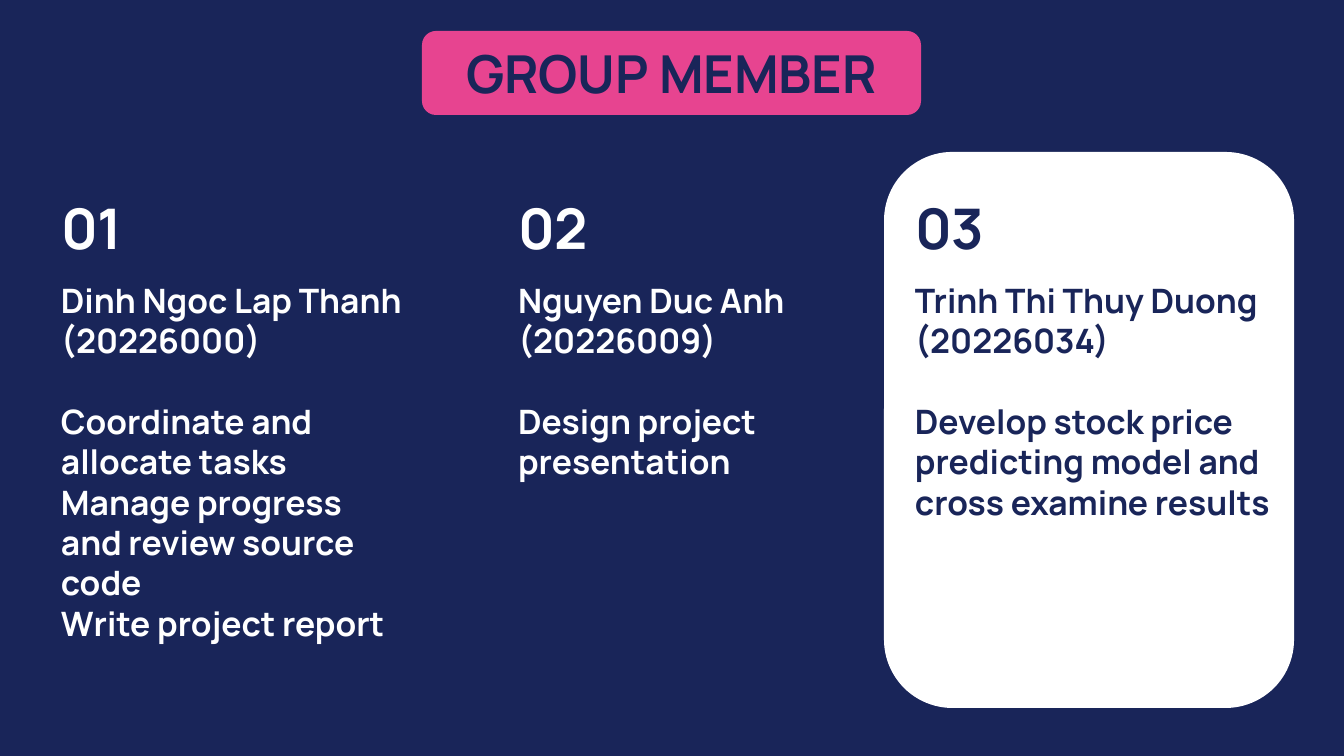
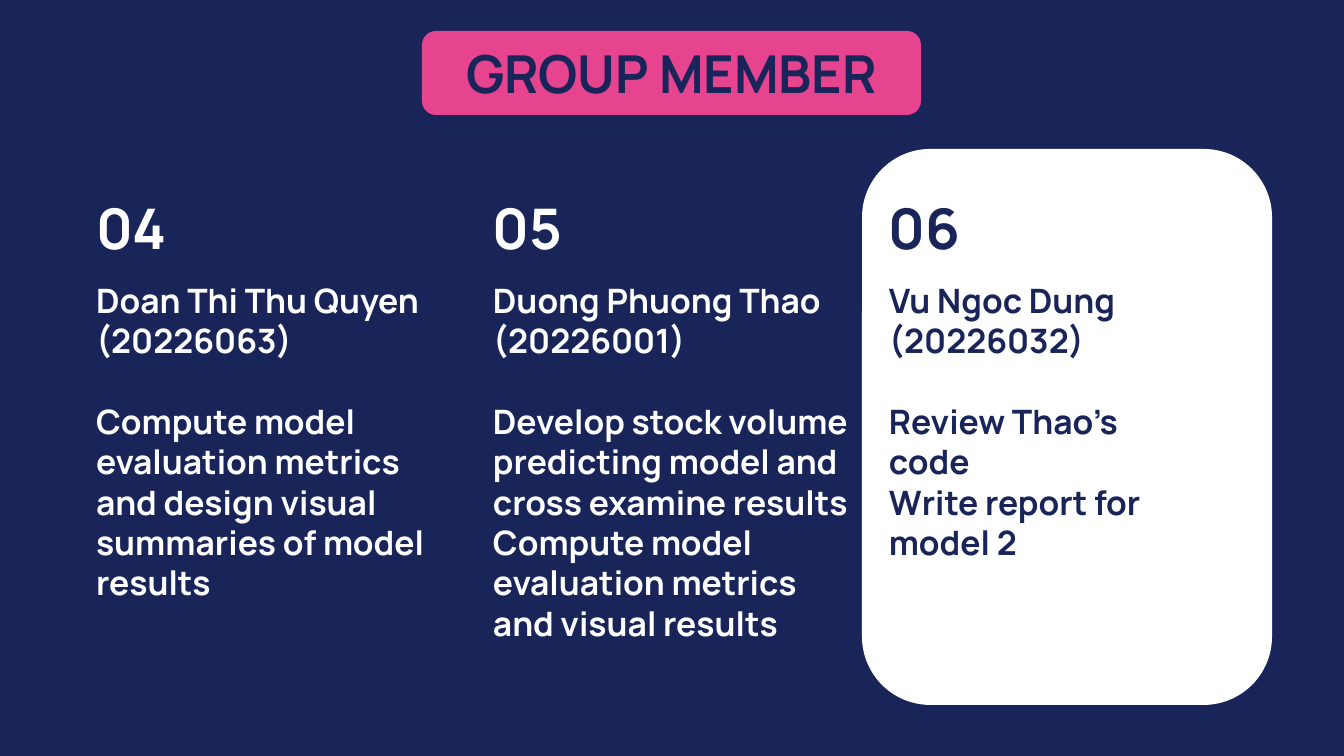
"""Build the two group member slides."""
import pptx
import pptx.dml.color
import pptx.enum.shapes
import pptx.enum.text
import pptx.util

EMU_PER_PX = 914400 / 134.4
COLORS = {"navy": "192559", "pink": "E74490", "white": "FFFFFF"}
FONT = "Manrope"
INSET = 13
TASK_GAP = 21.6

TITLE = "GROUP MEMBER"
TITLE_BOX = (422, 31, 499, 84)
CARD_SIZE = (410, 556)
NUMBER_TOP, NUMBER_SIZE = 194, (108, 66)
BODY_TOP, BODY_HEIGHT = 267, 110

SLIDES = [
    {
        "card": (884, 152),
        "members": [
            {"left": 48, "width": 374,
             "name": ["Dinh Ngoc Lap Thanh", "(20226000)"],
             "tasks": ["Coordinate and allocate tasks",
                       "Manage progress and review source code",
                       "Write project report"]},
            {"left": 505, "width": 339,
             "name": ["Nguyen Duc Anh (20226009)"],
             "tasks": ["Design project presentation"]},
            {"left": 902, "width": 401,
             "name": ["Trinh Thi Thuy Duong", "(20226034)"],
             "tasks": ["Develop stock price predicting model and cross examine results"]},
        ],
    },
    {
        "card": (862, 149),
        "members": [
            {"left": 83, "width": 366,
             "name": ["Doan Thi Thu Quyen (20226063)"],
             "tasks": ["Compute model evaluation metrics and design visual "
                       "summaries of model results"]},
            {"left": 480, "width": 382,
             "name": ["Duong Phuong Thao", "(20226001)"],
             "tasks": ["Develop stock volume predicting model and cross examine results",
                       "Compute model evaluation metrics and visual results"]},
            {"left": 876, "width": 339,
             "name": ["Vu Ngoc Dung (20226032)"],
             "tasks": ["Review Thao’s code", "Write report for model 2"]},
        ],
    },
]


def px(length):
    return pptx.util.Emu(round(length * EMU_PER_PX))


def rgb(name):
    return pptx.dml.color.RGBColor.from_string(COLORS[name])


def write(shape, lines, size, color, centered=False, middle=True):
    frame = shape.text_frame
    frame.word_wrap = True
    frame.margin_left = frame.margin_right = px(INSET)
    frame.margin_top = frame.margin_bottom = px(INSET)
    anchors = pptx.enum.text.MSO_ANCHOR
    frame.vertical_anchor = anchors.MIDDLE if middle else anchors.TOP
    alignments = pptx.enum.text.PP_ALIGN
    for index, line in enumerate(lines):
        paragraph = frame.add_paragraph() if index else frame.paragraphs[0]
        paragraph.alignment = alignments.CENTER if centered else alignments.LEFT
        run = paragraph.add_run()
        run.text = line
        run.font.name = FONT
        run.font.size = pptx.util.Pt(size)
        run.font.bold = True
        run.font.color.rgb = rgb(color)


def add_rounded(slide, box, color):
    shape = slide.shapes.add_shape(
        pptx.enum.shapes.MSO_SHAPE.ROUNDED_RECTANGLE, *map(px, box))
    shape.shadow.inherit = False
    shape.fill.solid()
    shape.fill.fore_color.rgb = rgb(color)
    shape.line.fill.background()
    return shape


def add_member(slide, number, member, color):
    number_box = slide.shapes.add_textbox(
        *map(px, (member["left"], NUMBER_TOP, *NUMBER_SIZE)))
    write(number_box, [f"{number:02d}"], 30, color)
    body = slide.shapes.add_textbox(
        *map(px, (member["left"], BODY_TOP, member["width"], BODY_HEIGHT)))
    write(body, member["name"] + member["tasks"], 18, color, middle=False)
    first_task = body.text_frame.paragraphs[len(member["name"])]
    first_task.space_before = pptx.util.Pt(TASK_GAP)


def main():
    presentation = pptx.Presentation()
    presentation.slide_width, presentation.slide_height = px(1344), px(756)
    number = 0
    for content in SLIDES:
        slide = presentation.slides.add_slide(presentation.slide_layouts[6])
        slide.background.fill.solid()
        slide.background.fill.fore_color.rgb = rgb("navy")
        add_rounded(slide, content["card"] + CARD_SIZE, "white")
        write(add_rounded(slide, TITLE_BOX, "pink"), [TITLE], 28, "navy", centered=True)
        for member in content["members"]:
            number += 1
            on_card = member is content["members"][-1]
            add_member(slide, number, member, "navy" if on_card else "white")
    presentation.save("out.pptx")


if __name__ == "__main__":
    main()
